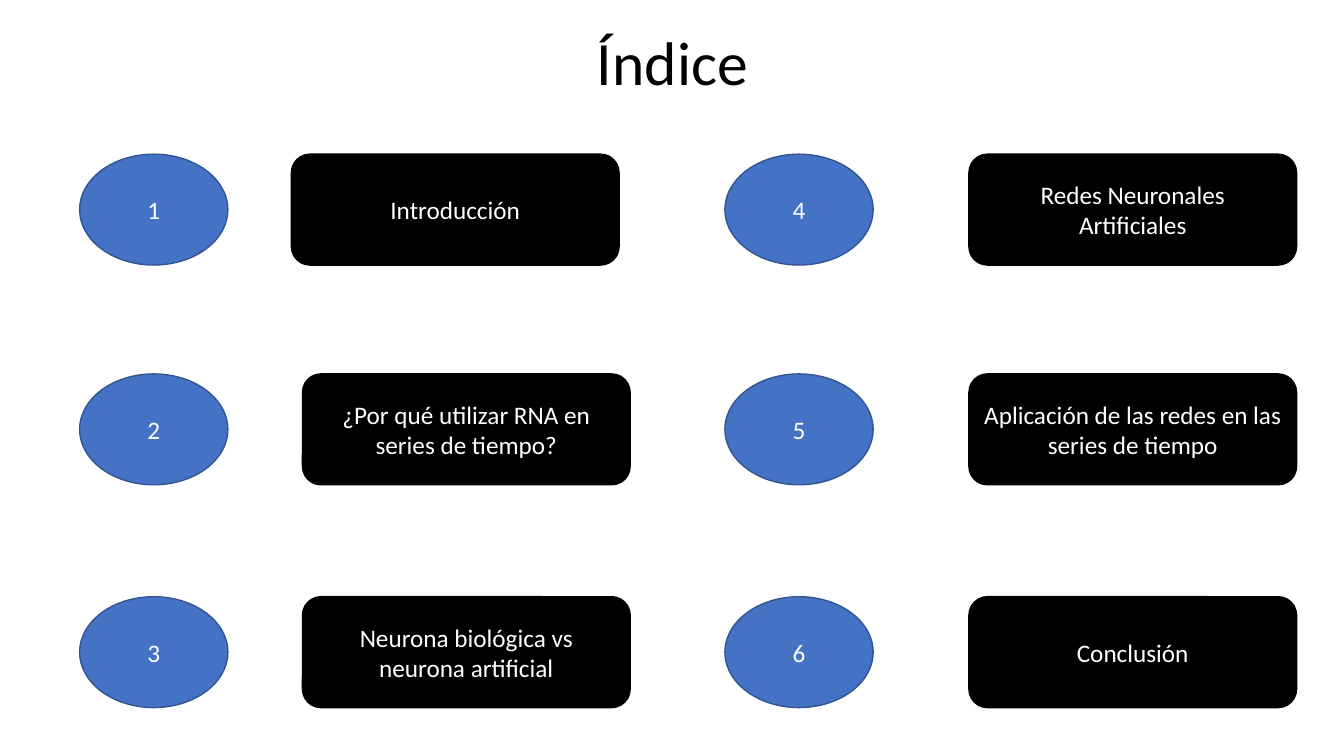
"""Build an index slide with six numbered topics in two columns."""
import pptx
import pptx.dml.color
import pptx.enum.shapes
import pptx.enum.text
import pptx.util
from pptx.util import Inches

COLORS = {"blue": "4472C4", "navy": "325491", "black": "000000", "white": "FFFFFF"}
SHAPES = pptx.enum.shapes.MSO_SHAPE
ROW_TOPS = (1.53, 3.71, 5.92)
TOPICS = (
    (0.79, 2.89, "Introducción"),
    (0.79, 3, "¿Por qué utilizar RNA en series de tiempo?"),
    (0.79, 3, "Neurona biológica vs neurona artificial"),
    (7.19, 9.61, "Redes Neuronales Artificiales"),
    (7.19, 9.61, "Aplicación de las redes en las series de tiempo"),
    (7.19, 9.61, "Conclusión"),
)


def rgb(name):
    """Return the named colour."""
    return pptx.dml.color.RGBColor.from_string(COLORS[name])


def set_text(sp, text, size, color):
    """Write one centred paragraph into a shape."""
    tf = sp.text_frame
    tf.word_wrap = True
    tf.vertical_anchor = pptx.enum.text.MSO_ANCHOR.MIDDLE
    p = tf.paragraphs[0]
    p.text = text
    p.alignment = pptx.enum.text.PP_ALIGN.CENTER
    p.font.name = "Calibri"
    p.font.size = pptx.util.Pt(size)
    p.font.color.rgb = rgb(color)


def add_title(s, text):
    """Add the slide title."""
    sp = s.shapes.add_textbox(Inches(0.67), Inches(0.06), Inches(12), Inches(1.09))
    set_text(sp, text, 44, "black")


def add_label(s, kind, left, top, width, text, fill, line):
    """Add a filled shape with a white label."""
    sp = s.shapes.add_shape(kind, Inches(left), Inches(top), Inches(width), Inches(1.1))
    sp.shadow.inherit = False
    sp.fill.solid()
    sp.fill.fore_color.rgb = rgb(fill)
    sp.line.color.rgb = rgb(line)
    sp.line.width = pptx.util.Pt(1)
    set_text(sp, text, 18, "white")


def main():
    """Build and save the slide."""
    prs = pptx.Presentation()
    prs.slide_width = Inches(13.33)
    prs.slide_height = Inches(7.5)
    s = prs.slides.add_slide(prs.slide_layouts[6])
    add_title(s, "Índice")
    for i, (number_left, topic_left, topic) in enumerate(TOPICS):
        top = ROW_TOPS[i % len(ROW_TOPS)]
        add_label(s, SHAPES.OVAL, number_left, top, 1.47, str(i + 1), "blue", "navy")
        add_label(s, SHAPES.ROUNDED_RECTANGLE, topic_left, top, 3.25, topic, "black", "black")
    prs.save("out.pptx")


if __name__ == "__main__":
    main()
